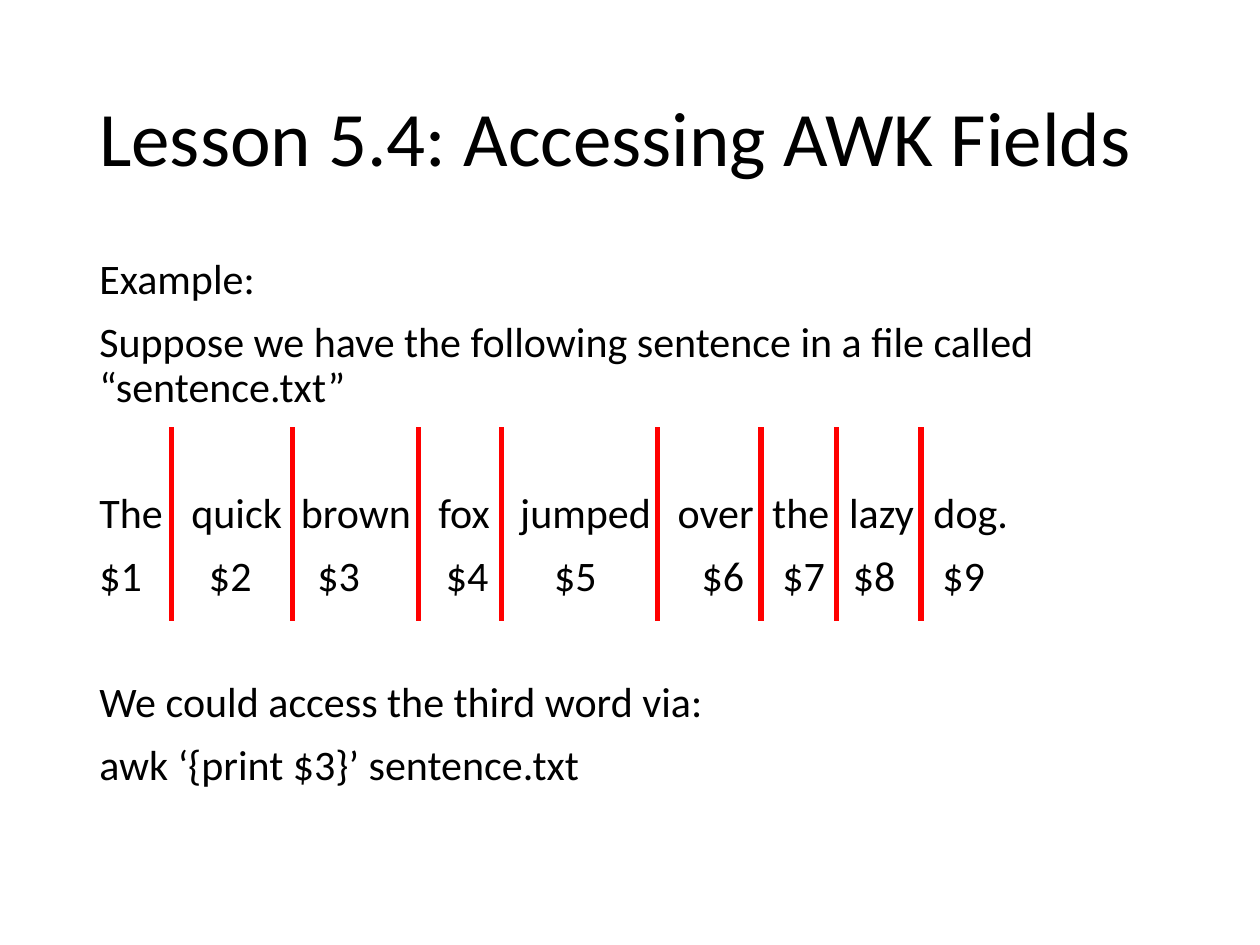
from dataclasses import dataclass

from lxml.etree import SubElement
from pptx import Presentation
from pptx.dml.color import RGBColor
from pptx.enum.shapes import MSO_CONNECTOR
from pptx.enum.text import MSO_ANCHOR
from pptx.oxml.ns import qn
from pptx.slide import Slide
from pptx.util import Inches, Pt


@dataclass(frozen=True)
class Theme:
    font: str = "Calibri"
    ink: RGBColor = RGBColor(0, 0, 0)
    rule: RGBColor = RGBColor(255, 0, 0)
    title: int = 44
    body: int = 24
    width: int = 3
    gap: int = 10
    skip: int = 46  # gap plus one empty line


@dataclass(frozen=True)
class Box:
    left: float
    top: float
    width: float
    height: float


@dataclass(frozen=True)
class Line:
    text: str
    before: int
    tabs: tuple[float, ...] = ()


@dataclass(frozen=True)
class Field:
    word: str
    word_x: float
    mark_x: float


THEME = Theme()
INSET = 0.1
TITLE = Box(0.69, 0.4, 8.62, 1.45)
BODY = Box(0.69, 2, 9.19, 5.31)

# Each word of the sentence, with the left edges of the word and its number
FIELDS = (
    Field("The", 0.79, 0.79),
    Field("quick", 1.52, 1.66),
    Field("brown", 2.39, 2.52),
    Field("fox", 3.48, 3.54),
    Field("jumped", 4.13, 4.4),
    Field("over", 5.38, 5.57),
    Field("the", 6.13, 6.21),
    Field("lazy", 6.74, 6.77),
    Field("dog.", 7.41, 7.48),
)
RULES = (1.36, 2.32, 3.32, 3.98, 5.22, 6.04, 6.64, 7.31)
RULE_TOP, RULE_END = 3.39, 4.93


def add_text(slide: Slide, box: Box, lines: list[Line], size: int,
             anchor: MSO_ANCHOR) -> None:
    shape = slide.shapes.add_textbox(Inches(box.left), Inches(box.top),
                                     Inches(box.width), Inches(box.height))
    frame = shape.text_frame
    frame.word_wrap = True
    frame.vertical_anchor = anchor
    for i, line in enumerate(lines):
        para = frame.add_paragraph() if i else frame.paragraphs[0]
        para.text = line.text
        para.line_spacing = 0.9
        para.space_before = Pt(line.before)
        for run in para.runs:
            run.font.name = THEME.font
            run.font.size = Pt(size)
            run.font.color.rgb = THEME.ink
        if line.tabs:
            stops = SubElement(para._p.get_or_add_pPr(), qn("a:tabLst"))
            for x in line.tabs:
                pos = Inches(x - box.left - INSET)
                SubElement(stops, qn("a:tab"), pos=str(pos), algn="l")


def add_rule(slide: Slide, x: float) -> None:
    rule = slide.shapes.add_connector(
        MSO_CONNECTOR.STRAIGHT, Inches(x), Inches(RULE_TOP),
        Inches(x), Inches(RULE_END))
    rule.line.color.rgb = THEME.rule
    rule.line.width = Pt(THEME.width)
    SubElement(rule._element.spPr, qn("a:effectLst"))


def main() -> None:
    deck = Presentation()
    deck.slide_width, deck.slide_height = Inches(10), Inches(7.5)
    slide = deck.slides.add_slide(deck.slide_layouts[6])

    # Title
    add_text(slide, TITLE, [Line("Lesson 5.4: Accessing AWK Fields", 0)],
             THEME.title, MSO_ANCHOR.MIDDLE)

    # Example, with words and field numbers set on tab stops
    words = "\t".join(f.word for f in FIELDS)
    marks = "\t".join(f"${n}" for n in range(1, len(FIELDS) + 1))
    lines = [
        Line("Example:", THEME.gap),
        Line("Suppose we have the following sentence in a file called "
             "“sentence.txt”", THEME.gap),
        Line(words, THEME.skip, tuple(f.word_x for f in FIELDS[1:])),
        Line(marks, THEME.gap, tuple(f.mark_x for f in FIELDS[1:])),
        Line("We could access the third word via:", THEME.skip),
        Line("awk ‘{print $3}’ sentence.txt", THEME.gap),
    ]
    add_text(slide, BODY, lines, THEME.body, MSO_ANCHOR.TOP)

    # Field separators
    for x in RULES:
        add_rule(slide, x)

    deck.save("out.pptx")


if __name__ == "__main__":
    main()
